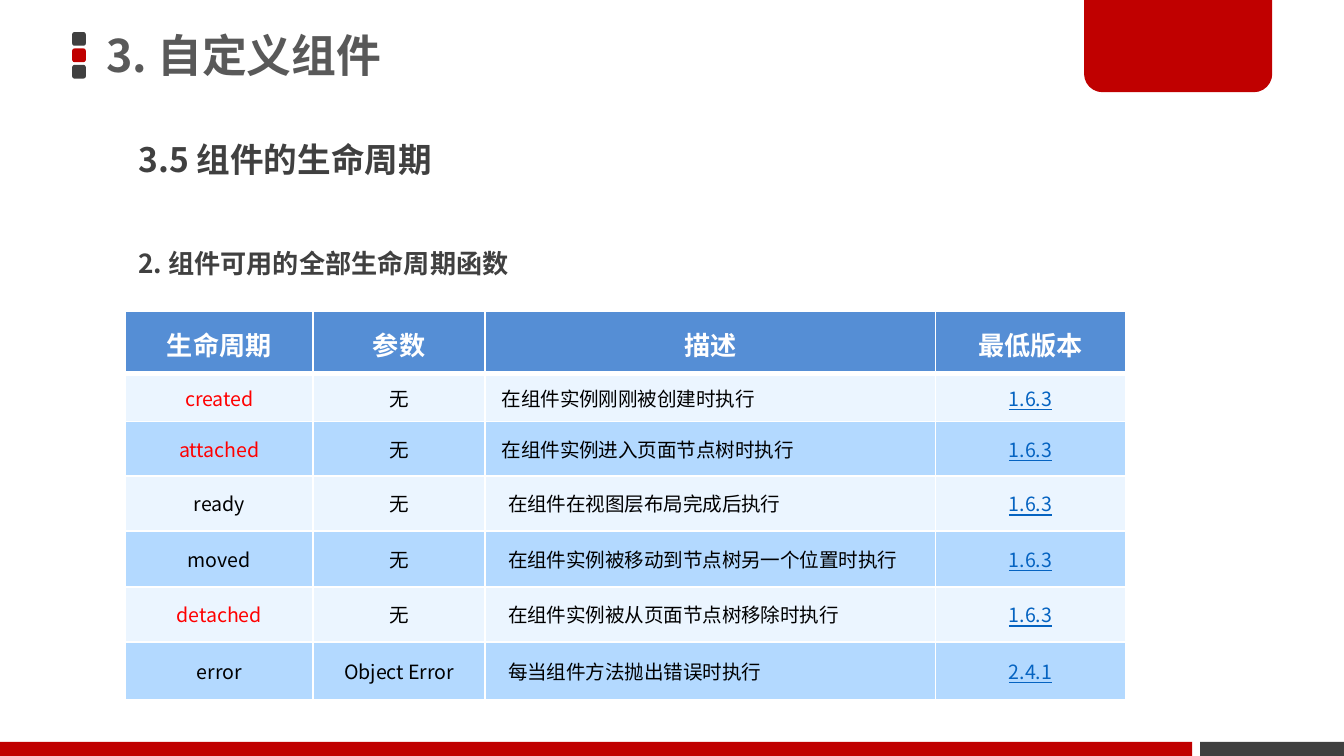
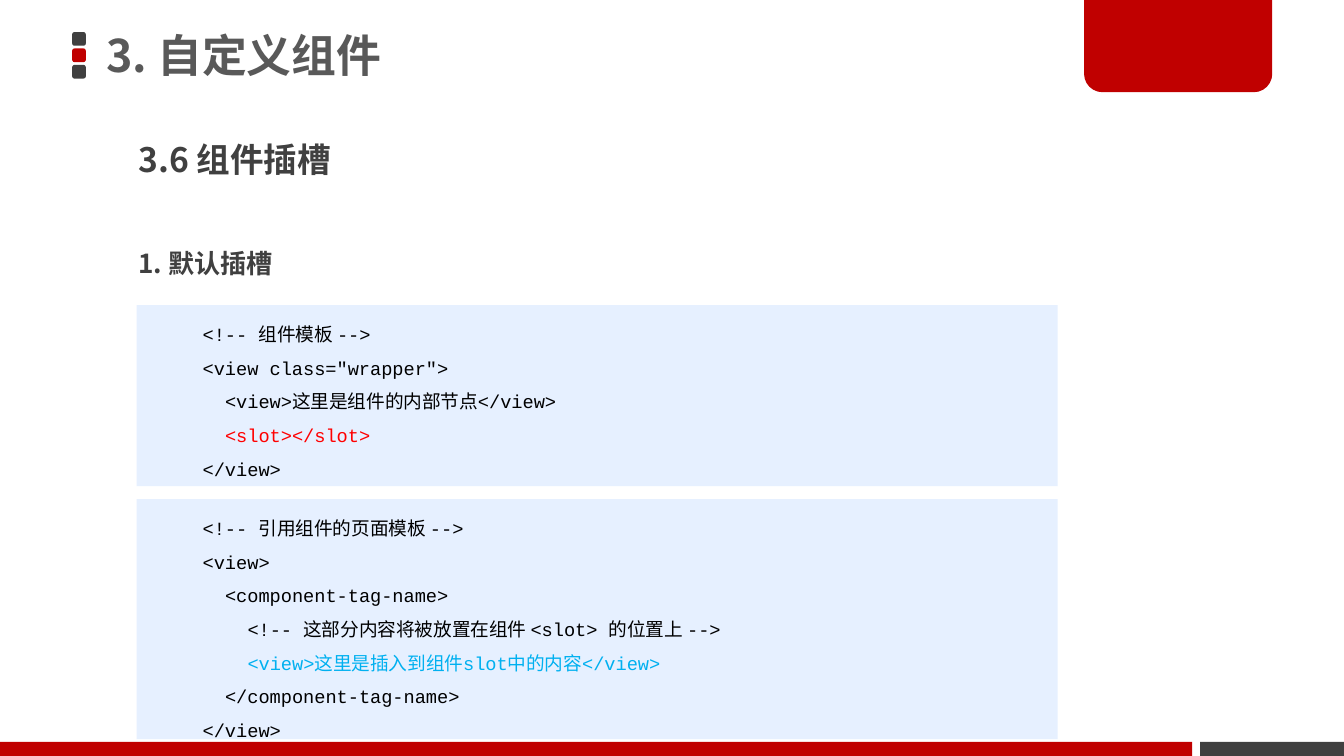
from dataclasses import dataclass, replace

from lxml import etree
from pptx import Presentation
from pptx.dml.color import RGBColor
from pptx.enum import shapes as shp, text as txt
from pptx.oxml import ns
from pptx.util import Pt

RED = RGBColor(0xC0, 0x00, 0x00)
DARK = RGBColor(0x40, 0x40, 0x40)
GREY = RGBColor(0x59, 0x59, 0x59)
WHITE = RGBColor(0xFF, 0xFF, 0xFF)
BLACK = RGBColor(0x00, 0x00, 0x00)
ALERT = RGBColor(0xFF, 0x00, 0x00)
SKY = RGBColor(0x00, 0xB0, 0xF0)
LINK = RGBColor(0x05, 0x63, 0xC1)
HEAD = RGBColor(0x55, 0x8E, 0xD5)
PALE = RGBColor(0xEB, 0xF5, 0xFF)
BLUE = RGBColor(0xB3, 0xD9, 0xFF)
PANEL = RGBColor(0xE6, 0xF0, 0xFF)

SANS = "Noto Sans CJK SC"
MONO = "Courier New"
LEFT, MID = txt.PP_ALIGN.LEFT, txt.PP_ALIGN.CENTER
KIND = shp.MSO_SHAPE


@dataclass(frozen=True)
class Box:
    """A place on the slide, in points."""
    x: float
    y: float
    w: float
    h: float

    def pts(self) -> tuple:
        """Give the four lengths as Pt values."""
        return Pt(self.x), Pt(self.y), Pt(self.w), Pt(self.h)


@dataclass(frozen=True)
class Style:
    """Look of one paragraph; lead is a factor or a Pt length."""
    size: float
    color: RGBColor
    bold: bool = False
    font: str = SANS
    align: int = LEFT
    lead: float = 1.0
    before: float = 0
    line: bool = False


@dataclass(frozen=True)
class Code:
    """One line of code: text, nesting depth and colour."""
    text: str
    depth: int = 0
    color: RGBColor = BLACK


@dataclass(frozen=True)
class Row:
    """One life-cycle function; tight rows have small cell margins."""
    name: str
    note: str
    arg: str = "无"
    since: str = "1.6.3"
    color: RGBColor = BLACK
    tight: bool = False


TITLE = Style(24, GREY, bold=True, lead=0.9)
TOPIC = Style(18, DARK, bold=True, lead=0.9, before=7.5)
POINT = replace(TOPIC, size=14)
CODE = Style(10, BLACK, font=MONO, lead=1.5)
LABEL = Style(14, WHITE, bold=True, align=MID, lead=Pt(24))
CELL = Style(10.5, BLACK)


def write(para, words: str, style: Style) -> None:
    """Format a paragraph and add one run to it."""
    para.alignment = style.align
    para.line_spacing = style.lead
    para.space_before = Pt(style.before)
    run = para.add_run()
    run.text = words
    font = run.font
    font.size, font.bold = Pt(style.size), style.bold
    font.color.rgb = style.color
    font.name = style.font
    if style.line:
        font.underline = True
    east = etree.SubElement(run._r.get_or_add_rPr(), ns.qn("a:ea"))
    east.set("typeface", SANS)


def plain(para, left: float = 0) -> None:
    """Remove the bullet and set the left indent."""
    props = para._p.get_or_add_pPr()
    props.set("marL", str(Pt(left)))
    props.set("indent", "0")
    etree.SubElement(props, ns.qn("a:buNone"))


def block(parent, kind: int, box: Box, color: RGBColor):
    """Add a flat shape without outline."""
    item = parent.add_shape(kind, *box.pts())
    item.shadow.inherit = False
    item.fill.solid()
    item.fill.fore_color.rgb = color
    item.line.fill.background()
    return item


def label(parent, box: Box):
    """Add a wrapping text box that grows, and return its frame."""
    frame = parent.add_textbox(*box.pts()).text_frame
    frame.word_wrap = True
    frame.auto_size = txt.MSO_AUTO_SIZE.SHAPE_TO_FIT_TEXT
    return frame


def fill(holder, box: Box, words: str, style: Style, anchor: int) -> None:
    """Move a placeholder and give it one line of text."""
    holder.left, holder.top, holder.width, holder.height = box.pts()
    frame = holder.text_frame
    frame.word_wrap = True
    frame.auto_size = txt.MSO_AUTO_SIZE.NONE
    frame.vertical_anchor = anchor
    write(frame.paragraphs[0], words, style)
    plain(frame.paragraphs[0])


def brand(slide) -> None:
    """Draw the bands, tab and dots, and hand them to the layout."""
    parts = []
    for i, color in enumerate((DARK, RED, DARK)):
        spot = Box(38.7, 17.2 + 8.8 * i, 7.3, 7.3)
        parts.append(block(slide.shapes, KIND.ROUNDED_RECTANGLE, spot, color))
    tab = block(slide.shapes, KIND.ROUND_2_SAME_RECTANGLE,
                Box(580.8, 0, 100.8, 49.4), RED)
    tab.adjustments[0], tab.adjustments[1] = 0, 0.2
    parts.append(tab)
    for x, w, color in ((643, 77, DARK), (0, 638.7, RED)):
        band = Box(x, 397.5, w, 7.5)
        parts.append(block(slide.shapes, KIND.RECTANGLE, band, color))
    tree = slide.slide_layout.shapes.element
    for part in parts:
        tree.append(part.element)


def page(deck, topic: str, point: str):
    """Add a slide with chapter title, topic and point."""
    slide = deck.slides.add_slide(deck.slide_layouts[1])
    fill(slide.shapes.title, Box(49.7, 0, 530.6, 62.6), "3. 自定义组件",
         TITLE, txt.MSO_ANCHOR.MIDDLE)
    fill(slide.placeholders[1], Box(67, 73.4, 513.4, 42.5), topic,
         TOPIC, txt.MSO_ANCHOR.TOP)
    frame = label(slide.shapes, Box(67, 131, 511, 22.3))
    write(frame.paragraphs[0], point, POINT)
    return slide


def edge(cell, widths: dict) -> None:
    """Put white borders on a cell, before its fill."""
    props = cell._tc.get_or_add_tcPr()
    for i, (side, width) in enumerate(widths.items()):
        line = etree.Element(ns.qn("a:" + side), w=str(Pt(width)))
        solid = etree.SubElement(line, ns.qn("a:solidFill"))
        etree.SubElement(solid, ns.qn("a:srgbClr"), val=str(WHITE))
        props.insert(i, line)


def put(cell, words: str, style: Style, color: RGBColor,
        pad: tuple, anchor: int) -> None:
    """Fill one table cell."""
    cell.margin_left = cell.margin_right = Pt(pad[0])
    cell.margin_top = cell.margin_bottom = Pt(pad[1])
    cell.vertical_anchor = anchor
    cell.fill.solid()
    cell.fill.fore_color.rgb = color
    write(cell.text_frame.paragraphs[0], words, style)


def grid(slide, heads: list, rows: list) -> None:
    """Add the table of life-cycle functions."""
    wide = (100.4, 92.3, 241.2, 101.9)
    high = (33.2, 25.7, 29, 29.5, 30, 29.5, 31)
    box = Box(67.3, 167, sum(wide), sum(high))
    table = slide.shapes.add_table(
        len(rows) + 1, len(heads), *box.pts()).table
    table.horz_banding = False
    for col, width in zip(table.columns, wide):
        col.width = Pt(width)
    for row, height in zip(table.rows, high):
        row.height = Pt(height)
    for c, head in enumerate(heads):
        put(table.cell(0, c), head, LABEL, HEAD, (7.2, 3.6),
            txt.MSO_ANCHOR.TOP)
    mid = replace(CELL, align=MID)
    for r, row in enumerate(rows, 1):
        looks = (
            (row.name, replace(mid, color=row.color)),
            (row.arg, mid),
            (row.note, CELL),
            (row.since, replace(mid, color=LINK, line=True)),
        )
        for c, (words, style) in enumerate(looks):
            put(table.cell(r, c), words, style, PALE if r % 2 else BLUE,
                (6.5, 3) if row.tight else (12.2, 7.2),
                txt.MSO_ANCHOR.MIDDLE)
    for r in range(len(rows) + 1):
        widths = {"lnL": 1, "lnR": 1, "lnT": 3 if r == 1 else 1,
                  "lnB": 3 if r == 0 else 1}
        for c in range(len(heads)):
            edge(table.cell(r, c), widths)


def panel(slide, top: float, high: float, lines: list) -> None:
    """Add a tinted panel with code lines, as one group."""
    group = slide.shapes.add_group_shape().shapes
    block(group, KIND.RECTANGLE, Box(73.2, top, 493.5, high), PANEL)
    frame = label(group, Box(101.5, top, 471.6, high))
    for i, line in enumerate(lines):
        para = frame.add_paragraph() if i else frame.paragraphs[0]
        write(para, line.text, replace(CODE, color=line.color))
        plain(para, 12 * line.depth)


HEADS = ["生命周期", "参数", "描述", "最低版本"]
ROWS = [
    Row("created", " 在组件实例刚刚被创建时执行", color=ALERT, tight=True),
    Row("attached", " 在组件实例进入页面节点树时执行", color=ALERT, tight=True),
    Row("ready", "在组件在视图层布局完成后执行"),
    Row("moved", "在组件实例被移动到节点树另一个位置时执行"),
    Row("detached", "在组件实例被从页面节点树移除时执行", color=ALERT),
    Row("error", "每当组件方法抛出错误时执行", "Object Error", "2.4.1"),
]
INNER = [
    Code("<!-- 组件模板 -->"),
    Code('<view class="wrapper">'),
    Code("<view>这里是组件的内部节点</view>", 1),
    Code("<slot></slot>", 1, ALERT),
    Code("</view>"),
]
OUTER = [
    Code("<!-- 引用组件的页面模板 -->"),
    Code("<view>"),
    Code("<component-tag-name>", 1),
    Code("<!-- 这部分内容将被放置在组件 <slot> 的位置上 -->", 2),
    Code("<view>这里是插入到组件slot中的内容</view>", 2, SKY),
    Code("</component-tag-name>", 1),
    Code("</view>"),
]


def main() -> None:
    """Build and save the deck."""
    deck = Presentation()
    deck.slide_width, deck.slide_height = Pt(720), Pt(405)
    cycle = page(deck, "3.5 组件的生命周期", "2. 组件可用的全部生命周期函数")
    brand(cycle)
    grid(cycle, HEADS, ROWS)
    slot = page(deck, "3.6 组件插槽", "1. 默认插槽")
    panel(slot, 163.5, 97, INNER)
    panel(slot, 267.4, 128.6, OUTER)
    deck.save("out.pptx")


main()
